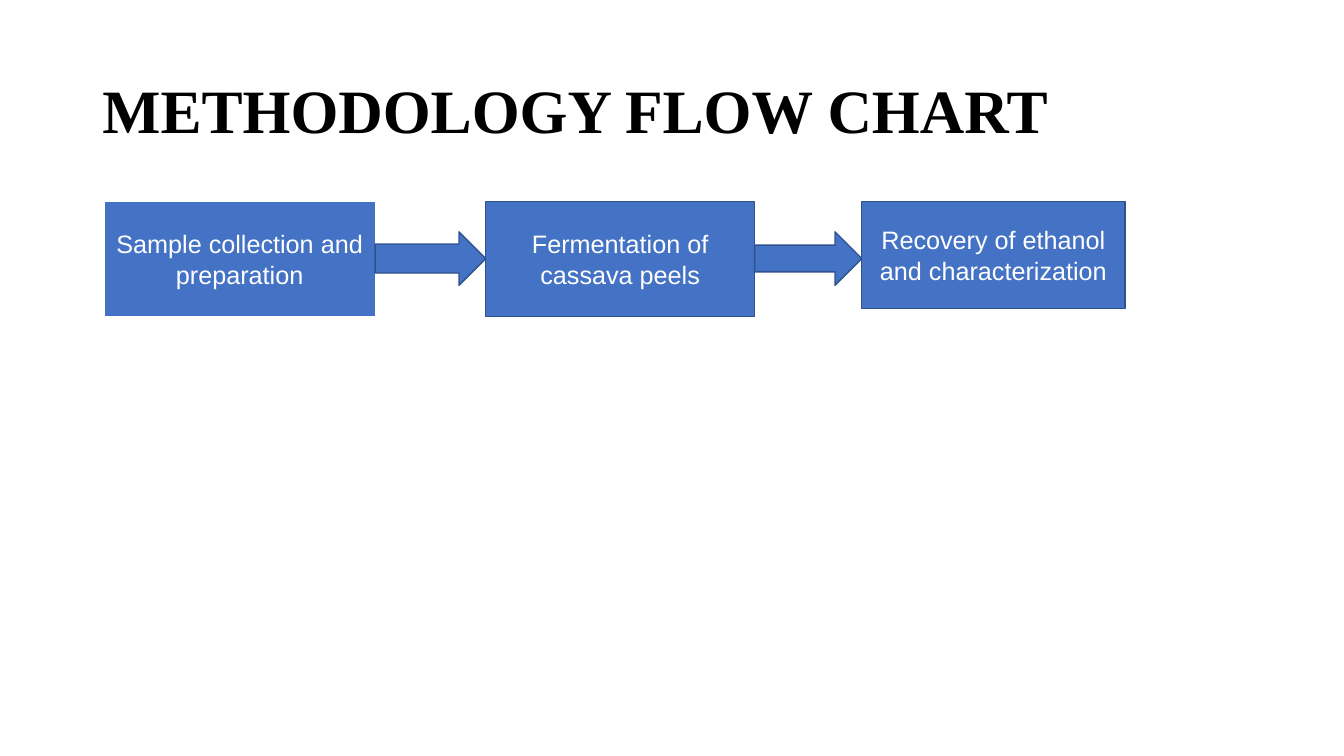
"""Build the methodology flow chart slide."""
from pptx import Presentation
from pptx.dml.color import RGBColor
from pptx.enum import shapes, text
from pptx.util import Pt


def paint(shape, outline, width):
    shape.shadow.inherit = False
    shape.fill.solid()
    shape.fill.fore_color.rgb = RGBColor.from_string("4472C4")
    shape.line.color.rgb = RGBColor.from_string(outline)
    shape.line.width = Pt(width)


def style(frame, font, size, color, align):
    frame.vertical_anchor = text.MSO_ANCHOR.MIDDLE
    frame.word_wrap = True
    para = frame.paragraphs[0]
    para.alignment = align
    for span in para.runs:
        span.font.name = font
        span.font.size = Pt(size)
        span.font.color.rgb = RGBColor.from_string(color)


deck = Presentation()
deck.slide_width, deck.slide_height = Pt(960), Pt(540)
page = deck.slides.add_slide(deck.slide_layouts[5])

title = page.shapes.title
title.left, title.top, title.width, title.height = Pt(66), Pt(28.75), Pt(828), Pt(104.4)
title.text_frame.text = "METHODOLOGY FLOW CHART"
title.text_frame.auto_size = text.MSO_AUTO_SIZE.NONE
style(title.text_frame, "Times New Roman", 44, "000000", text.PP_ALIGN.LEFT)
heading = title.text_frame.paragraphs[0]
heading.line_spacing = 0.9
heading.runs[0].font.bold = True

steps = [
    ("Sample collection and preparation", 74.4, 193.6, 82, "FFFFFF", 0.75),
    ("Fermentation of cassava peels", 347, 192, 82, "2F528F", 1),
    ("Recovery of ethanol and characterization", 615.6, 188, 76.2, "2F528F", 1),
]
for label, left, width, height, outline, weight in steps:
    box = page.shapes.add_shape(
        shapes.MSO_SHAPE.RECTANGLE, Pt(left), Pt(144), Pt(width), Pt(height))
    paint(box, outline, weight)
    box.text_frame.text = label
    style(box.text_frame, "Arial", 18, "FFFFFF", text.PP_ALIGN.CENTER)

for (_, left, width, *_), following, shaft in zip(steps, steps[1:], (0.543, 0.5)):
    start = left + width
    arrow = page.shapes.add_shape(
        shapes.MSO_SHAPE.RIGHT_ARROW, Pt(start), Pt(165.6), Pt(following[1] - start), Pt(38.2))
    arrow.adjustments[0] = shaft
    paint(arrow, "2F528F", 1)

deck.save("out.pptx")
